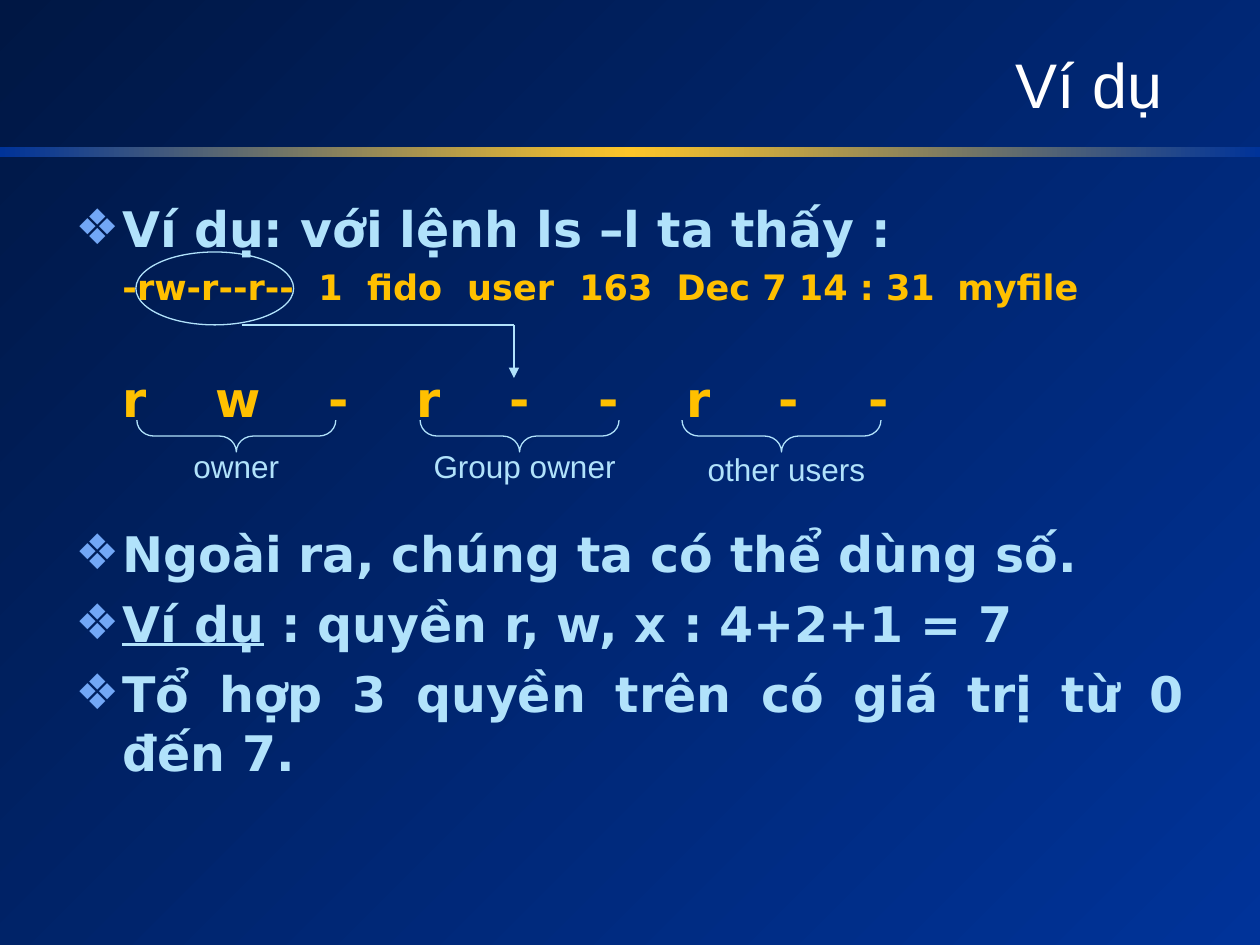
from copy import deepcopy

from lxml.etree import SubElement
from pptx import Presentation
from pptx.dml.color import RGBColor
from pptx.enum.shapes import MSO_CONNECTOR, MSO_SHAPE
from pptx.enum.text import MSO_ANCHOR, MSO_AUTO_SIZE, PP_ALIGN
from pptx.oxml.ns import qn
from pptx.util import Cm, Pt

NIGHT = RGBColor(0x00, 0x17, 0x44)
BLUE = RGBColor(0x00, 0x33, 0x99)
GOLD = RGBColor(0xFD, 0xC5, 0x29)
AMBER = RGBColor(0xFF, 0xC0, 0x00)
ICE = RGBColor(0xB1, 0xE2, 0xFB)
BULLET = RGBColor(0x72, 0xA7, 0xF6)
WHITE = RGBColor(0xFF, 0xFF, 0xFF)

HEADING = {"name": "Arial", "size": Pt(36), "bold": False}
LABEL = {"name": "Arial", "size": Pt(18)}
BODY = {"name": "DejaVu Sans", "size": Pt(28), "bold": True}
LISTING = {**BODY, "size": Pt(20)}

LISTING_TABS = (0.95, 4.9, 5.88, 7.9, 10.16, 12.12, 17.78)
MODE_TABS = (0.95, 2.82, 5.11, 6.88, 8.76, 10.54, 12.32, 14.17, 15.98)
LISTING_FIELDS = ("-rw-r--r--", "1", "fido", "user", "163", "Dec 7 14 : 31", "myfile")


def set_font(font, values, color):
    for name, value in values.items():
        setattr(font, name, value)
    font.color.rgb = color


def set_gradient(fill, colors, angle):
    fill.gradient()
    fill.gradient_angle = angle
    first, last = fill.gradient_stops
    first.color.rgb, last.color.rgb = colors[0], colors[-1]
    first.position, last.position = 0, 1
    return fill


def add_background(slide):
    set_gradient(slide.background.fill, (NIGHT, BLUE), 315)


def add_heading(slide, text, left, top, width, height):
    bar = slide.shapes.add_shape(MSO_SHAPE.RECTANGLE, 0, Cm(2.97), Cm(25.4), Cm(0.2))
    bar.shadow.inherit = False
    bar.line.fill.background()
    fill = set_gradient(bar.fill, (BLUE, BLUE), 0)
    stops = bar.element.spPr.find(".//" + qn("a:gsLst"))
    stops.insert(1, deepcopy(stops[0]))
    middle = fill.gradient_stops[1]
    middle.position, middle.color.rgb = 0.5, GOLD

    title = slide.shapes.title
    title.left, title.top, title.width, title.height = left, top, width, height
    tf = title.text_frame
    tf.auto_size = MSO_AUTO_SIZE.NONE
    tf.vertical_anchor = MSO_ANCHOR.MIDDLE
    p = tf.paragraphs[0]
    p.alignment = PP_ALIGN.RIGHT
    r = p.add_run()
    r.text = text
    set_font(r.font, HEADING, WHITE)


def set_bullet(p):
    pPr = p._p.get_or_add_pPr()
    pPr.set("marL", str(Cm(0.95)))
    pPr.set("indent", str(-Cm(0.95)))
    SubElement(SubElement(pPr, qn("a:buClr")), qn("a:srgbClr"), val=str(BULLET))
    SubElement(pPr, qn("a:buFont"), typeface="Arial")
    SubElement(pPr, qn("a:buChar"), char="❖")


def set_tabs(p, positions):
    tabs = SubElement(p._p.get_or_add_pPr(), qn("a:tabLst"))
    for position in positions:
        SubElement(tabs, qn("a:tab"), pos=str(Cm(position)), algn="l")


def add_body(slide, left, top, width, height):
    tf = slide.shapes.add_textbox(left, top, width, height).text_frame
    tf.word_wrap = True
    rows = (
        (("Ví dụ: với lệnh ls –l ta thấy :",), 0, None, BODY),
        (LISTING_FIELDS, 4.7, LISTING_TABS, LISTING),
        (tuple("rw-r--r--"), 34.5, MODE_TABS, BODY),
        (("Ngoài ra, chúng ta có thể dùng số.",), 55, None, BODY),
        (("Ví dụ", " : quyền r, w, x : 4+2+1 = 7"), 6.5, None, BODY),
        (("Tổ hợp 3 quyền trên có giá trị từ 0 đến 7.",), 6.5, None, BODY),
    )
    for i, (parts, before, tabs, values) in enumerate(rows):
        p = tf.add_paragraph() if i else tf.paragraphs[0]
        if tabs:
            set_tabs(p, tabs)
            parts = ("".join("\t" + part for part in parts),)
        else:
            set_bullet(p)
        p.space_before = Pt(before)
        p.alignment = PP_ALIGN.LEFT if tabs else PP_ALIGN.JUSTIFY
        for part in parts:
            r = p.add_run()
            r.text = part
            set_font(r.font, values, AMBER if tabs else ICE)
            if part == "Ví dụ":
                r.font.underline = True


def add_outline(slide, kind, left, top, width, height):
    sp = slide.shapes.add_shape(kind, left, top, width, height)
    sp.shadow.inherit = False
    sp.fill.background()
    sp.line.color.rgb = ICE
    sp.line.width = Pt(0.75)
    return sp


def add_line(slide, x1, y1, x2, y2, arrow=False):
    line = slide.shapes.add_connector(MSO_CONNECTOR.STRAIGHT, x1, y1, x2, y2)
    line.line.color.rgb = ICE
    line.line.width = Pt(0.75)
    if arrow:
        SubElement(line.line._get_or_add_ln(), qn("a:tailEnd"), type="triangle")
    SubElement(line.element.spPr, qn("a:effectLst"))


def add_callout(slide, left, top, width, height):
    add_outline(slide, MSO_SHAPE.OVAL, left, top, width, height)
    bottom, corner = top + height, left + Cm(7.62)
    add_line(slide, left + Cm(2.13), bottom, corner, bottom)
    add_line(slide, corner, bottom, corner, bottom + Cm(1.07), arrow=True)


def add_group(slide, text, left, top, width, label_shift, label_drop):
    depth = Cm(0.64)
    brace = add_outline(slide, MSO_SHAPE.LEFT_BRACE, left + (width - depth) // 2,
                        top - (width - depth) // 2, depth, width)
    brace.rotation = 270
    brace.adjustments[0], brace.adjustments[1] = 0.53, 0.5

    label_width = Cm(4.65)
    box = slide.shapes.add_textbox(left + (width - label_width) // 2 + label_shift,
                                   top + label_drop, label_width, Cm(1.02))
    tf = box.text_frame
    tf.word_wrap = True
    p = tf.paragraphs[0]
    p.alignment = PP_ALIGN.CENTER
    r = p.add_run()
    r.text = text
    set_font(r.font, LABEL, ICE)


def main():
    prs = Presentation()
    prs.slide_width, prs.slide_height = Cm(25.4), Cm(19.05)
    slide = prs.slides.add_slide(prs.slide_layouts[5])
    add_background(slide)
    add_heading(slide, "Ví dụ", Cm(2.74), Cm(0.89), Cm(20.96), Cm(1.57))
    add_body(slide, Cm(1.27), Cm(3.88), Cm(22.86), Cm(14.51))
    add_callout(slide, Cm(2.74), Cm(5.08), Cm(3.18), Cm(1.47))
    groups = (("owner", 2.76, 0, 0.42), ("Group owner", 8.47, 0.1, 0.42),
              ("other users", 13.75, 0.1, 0.47))
    for text, left, shift, drop in groups:
        add_group(slide, text, Cm(left), Cm(8.47), Cm(4.01), Cm(shift), Cm(drop))
    prs.save("out.pptx")


if __name__ == "__main__":
    main()
